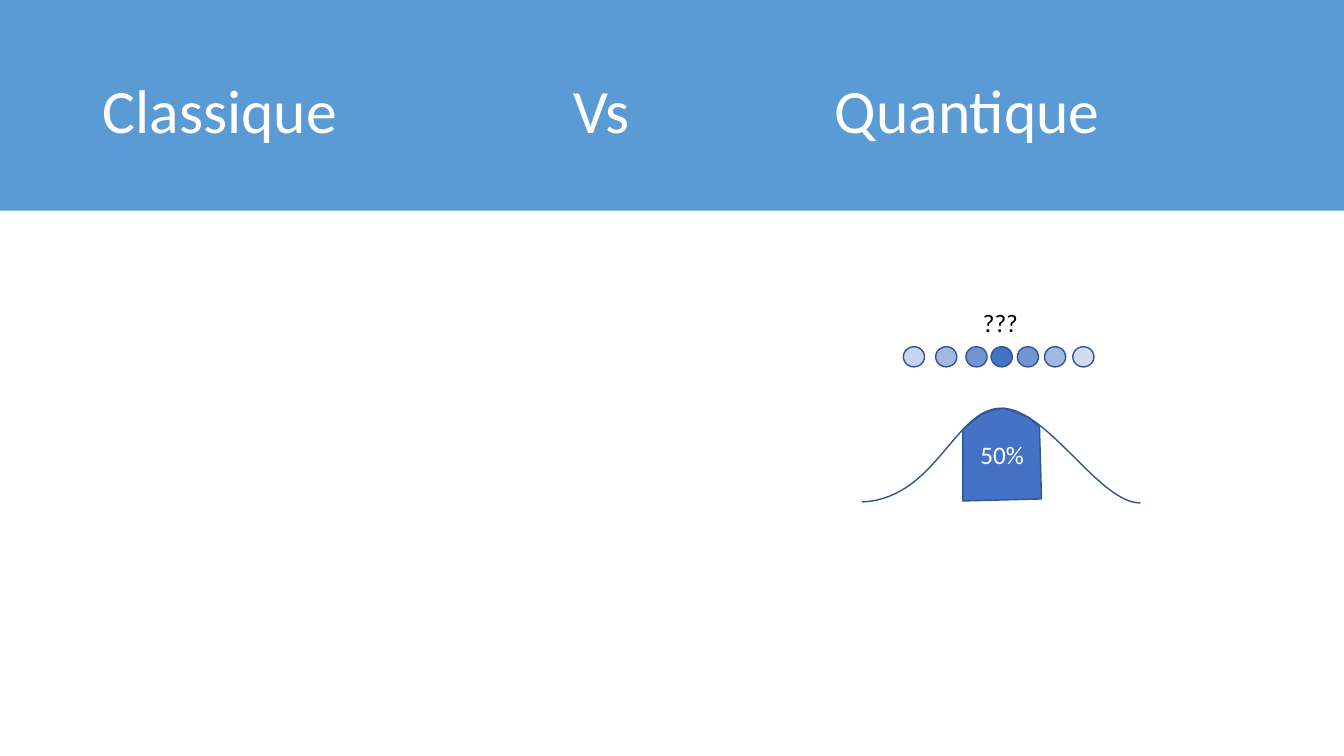
from dataclasses import dataclass

from lxml.etree import SubElement
from pptx import Presentation
from pptx.dml.color import RGBColor
from pptx.enum.shapes import MSO_SHAPE
from pptx.enum.text import MSO_ANCHOR, PP_ALIGN
from pptx.oxml.ns import qn
from pptx.util import Inches, Pt


@dataclass(frozen=True)
class Theme:
    font: str = "Calibri"
    band: str = "5B9BD5"
    particle: str = "4472C4"
    outline: str = "325491"
    light: str = "FFFFFF"
    dark: str = "000000"
    title_size: int = 44
    label_size: int = 18
    outline_width: int = 1


THEME = Theme()


def write(frame, text, size=THEME.label_size, color=THEME.dark,
          align=PP_ALIGN.LEFT, anchor=MSO_ANCHOR.TOP, wrap=True):
    frame.word_wrap = wrap
    frame.vertical_anchor = anchor
    paragraph = frame.paragraphs[0]
    paragraph.alignment = align
    run = paragraph.add_run()
    run.text = text
    run.font.name = THEME.font
    run.font.size = Pt(size)
    run.font.color.rgb = RGBColor.from_string(color)
    return paragraph


def paint(shape, fill=None, opacity=100, outline=THEME.outline):
    shape.shadow.inherit = False
    if fill:
        shape.fill.solid()
        shape.fill.fore_color.rgb = RGBColor.from_string(fill)
        if opacity < 100:
            color = shape.element.spPr.find(qn("a:solidFill"))[0]
            SubElement(color, qn("a:alpha")).set("val", str(opacity * 1000))
    else:
        shape.fill.background()
    if outline:
        shape.line.color.rgb = RGBColor.from_string(outline)
        shape.line.width = Pt(THEME.outline_width)
    else:
        shape.line.fill.background()


def trace(slide, points, left, top, close):
    places = [(Inches(left + x), Inches(top + y)) for x, y in points]
    builder = slide.shapes.build_freeform(*places[0])
    builder.add_line_segments(places[1:], close=close)
    return builder.convert_to_shape()


def bezier(start, control_1, control_2, end, steps=30):
    def blend(t, a, b, c, d):
        u = 1 - t
        return u**3 * a + 3 * u**2 * t * b + 3 * u * t**2 * c + t**3 * d

    return [tuple(blend(i / steps, *axis)
                  for axis in zip(start, control_1, control_2, end))
            for i in range(steps + 1)]


def add_header(slide, left, top, width, height):
    # Coloured band, kept behind the title
    band = slide.shapes.add_shape(
        MSO_SHAPE.RECTANGLE, Inches(left), Inches(top), Inches(width), Inches(height))
    paint(band, THEME.band, outline=None)
    title = slide.shapes.title
    title.element.addprevious(band.element)

    # Title in three tabbed columns
    title.left, title.top = Inches(left + 0.92), Inches(top + 0.4)
    title.width, title.height = Inches(11.5), Inches(1.45)
    heading = write(title.text_frame, "Classique\tVs\tQuantique", THEME.title_size,
                    THEME.light, anchor=MSO_ANCHOR.MIDDLE)
    heading.line_spacing = 0.9
    tabs = SubElement(heading._p.get_or_add_pPr(), qn("a:tabLst"))
    for column in (4.67, 7.26):
        SubElement(tabs, qn("a:tab"), pos=str(Inches(column)), algn="l")


def add_particles(slide, left, top):
    # Possible positions, fading away from the centre
    question = slide.shapes.add_textbox(
        Inches(left + 0.69), Inches(top), Inches(0.55), Inches(0.4))
    write(question.text_frame, "???", wrap=False)
    positions = ((0, 30), (0.32, 50), (0.62, 75), (0.87, 100),
                 (1.13, 75), (1.4, 50), (1.68, 25))
    for offset, opacity in positions:
        particle = slide.shapes.add_shape(
            MSO_SHAPE.OVAL, Inches(left + offset), Inches(top + 0.44),
            Inches(0.21), Inches(0.2))
        paint(particle, THEME.particle, opacity)


def add_probability(slide, left, top):
    # Bell curve
    rise = bezier((0, 0.93), (0.73, 0.9), (0.92, 0), (1.38, 0))
    fall = bezier((1.38, 0), (1.84, 0), (2.35, 0.94), (2.76, 0.94))
    paint(trace(slide, rise + fall[1:], left, top, close=False))

    # Central area under the curve
    area = ((1, 0.92), (1, 0.21), (1.18, 0.06), (1.29, 0.02), (1.4, 0),
            (1.5, 0.03), (1.65, 0.09), (1.73, 0.16), (1.76, 0.19), (1.78, 0.9))
    probability = trace(slide, area, left, top, close=True)
    paint(probability, THEME.particle)
    write(probability.text_frame, "50%", color=THEME.light,
          align=PP_ALIGN.CENTER, anchor=MSO_ANCHOR.MIDDLE)


def main():
    deck = Presentation()
    deck.slide_width, deck.slide_height = Inches(13.33), Inches(7.5)
    slide = deck.slides.add_slide(deck.slide_layouts[5])
    add_header(slide, 0, 0, 13.33, 2.09)
    add_particles(slide, 8.96, 3)
    add_probability(slide, 8.55, 4.05)
    deck.save("out.pptx")


if __name__ == "__main__":
    main()
